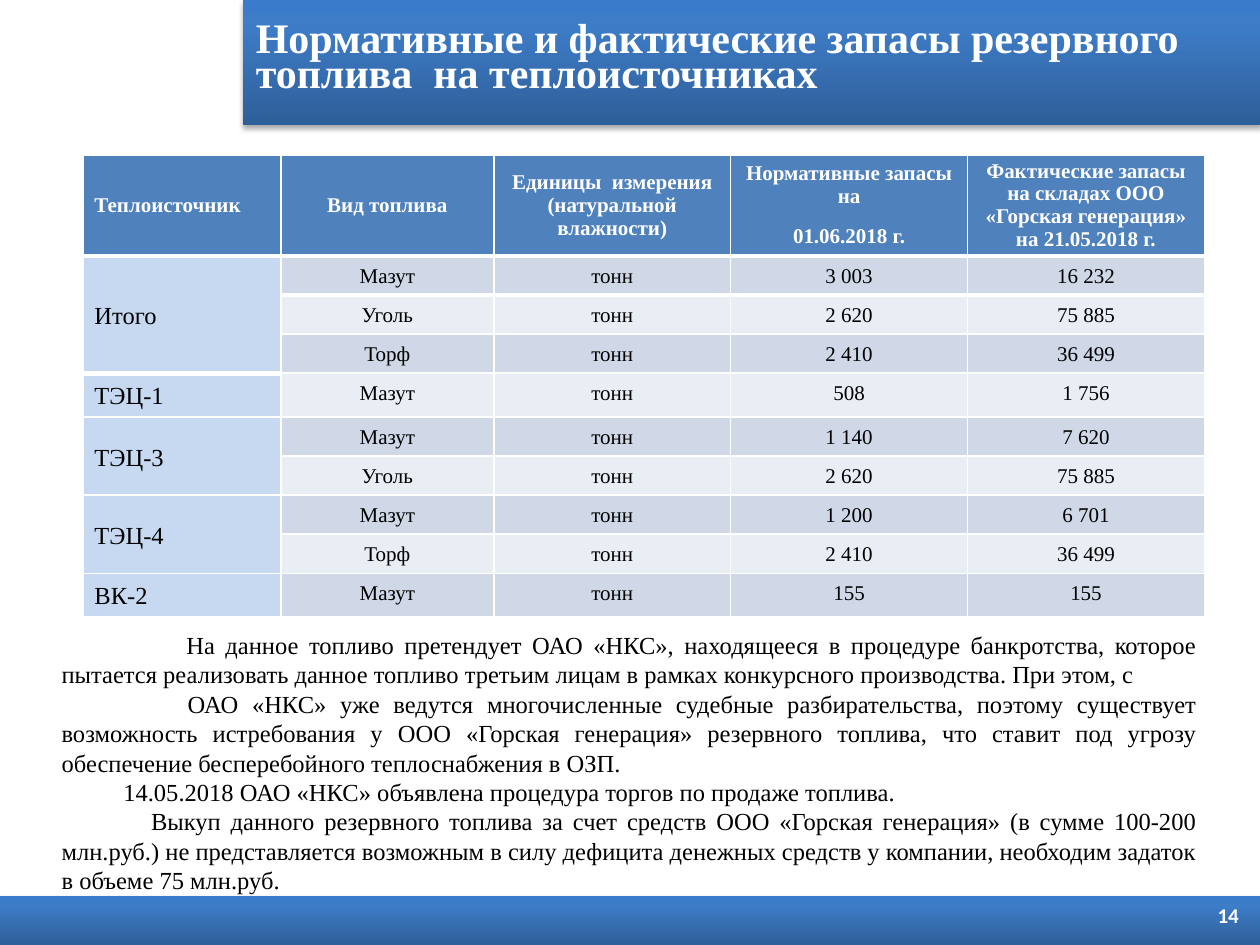
from dataclasses import dataclass

from pptx import Presentation
from pptx.dml.color import RGBColor
from pptx.enum.shapes import MSO_SHAPE
from pptx.enum.text import MSO_ANCHOR, PP_ALIGN
from pptx.oxml import parse_xml
from pptx.oxml.ns import nsdecls, qn
from pptx.shapes.autoshape import Shape
from pptx.slide import Slide
from pptx.table import _Cell as Cell
from pptx.text.text import _Paragraph as Paragraph
from pptx.util import Inches, Pt

SERIF = "Times New Roman"
COLORS = {
    "white": "FFFFFF", "black": "000000",
    "header": "4F81BD", "source": "C6D9F1",
    "band_dark": "D0D8E8", "band_light": "E9EDF4",
}
BAR_STOPS = [(0, "2F5F99"), (80, "3D7CC7"), (100, "3A7CCB")]


@dataclass
class Fuel:
    kind: str
    required: str
    actual: str


@dataclass
class HeatSource:
    name: str
    fuels: list[Fuel]


@dataclass
class Note:
    text: str
    indent: float


TITLE = "Нормативные и фактические запасы резервного топлива  на теплоисточниках"
HEADERS = [
    ["Теплоисточник"],
    ["Вид топлива"],
    ["Единицы  измерения (натуральной влажности)"],
    ["Нормативные запасы на", "01.06.2018 г."],
    ["Фактические запасы на складах ООО «Горская генерация» на 21.05.2018 г."],
]
UNIT = "тонн"
COLUMN_WIDTHS = [1.57, 1.69, 1.88, 1.88, 1.88]
HEADER_HEIGHT, ROW_HEIGHT, SINGLE_ROW_HEIGHT = 0.78, 0.31, 0.34

SOURCES = [
    HeatSource("Итого", [Fuel("Мазут", "3 003", "16 232"),
                         Fuel("Уголь", "2 620", "75 885"),
                         Fuel("Торф", "2 410", "36 499")]),
    HeatSource("ТЭЦ-1", [Fuel("Мазут", "508", "1 756")]),
    HeatSource("ТЭЦ-3", [Fuel("Мазут", "1 140", "7 620"),
                         Fuel("Уголь", "2 620", "75 885")]),
    HeatSource("ТЭЦ-4", [Fuel("Мазут", "1 200", "6 701"),
                         Fuel("Торф", "2 410", "36 499")]),
    HeatSource("ВК-2", [Fuel("Мазут", "155", "155")]),
]
NOTES = [
    Note("На данное топливо претендует ОАО «НКС», находящееся в процедуре банкротства, "
         "которое пытается реализовать данное топливо третьим лицам в рамках конкурсного "
         "производства. При этом, с", 0.99),
    Note("ОАО «НКС» уже ведутся многочисленные судебные разбирательства, поэтому существует "
         "возможность истребования у ООО «Горская генерация» резервного топлива, что ставит "
         "под угрозу обеспечение бесперебойного теплоснабжения в ОЗП.", 1.0),
    Note("14.05.2018 ОАО «НКС» объявлена процедура торгов по продаже топлива.", 0.49),
    Note("Выкуп данного резервного топлива за счет средств ООО «Горская генерация» (в сумме "
         "100-200 млн.руб.) не представляется возможным в силу дефицита денежных средств "
         "у компании, необходим задаток в объеме 75 млн.руб.", 0.71),
]


def add_run(paragraph: Paragraph, text: str, size: float, color: str,
            bold: bool = False, font: str = SERIF) -> None:
    run = paragraph.add_run()
    run.text = text
    run.font.name = font
    run.font.size = Pt(size)
    run.font.bold = bold
    run.font.color.rgb = RGBColor.from_string(COLORS[color])


def style_bar(shape: Shape) -> None:
    """Give a bar its vertical gradient and soft lower shadow."""
    shape.fill.gradient()
    shape.fill.gradient_angle = 90
    shape.line.fill.background()
    shape.shadow.inherit = False
    properties = shape._element.spPr
    stops = properties.find(qn("a:gradFill")).find(qn("a:gsLst"))
    for stop in list(stops):
        stops.remove(stop)
    for position, color in BAR_STOPS:
        stops.append(parse_xml(
            f'<a:gs {nsdecls("a")} pos="{position * 1000}"><a:srgbClr val="{color}"/></a:gs>'))
    properties.find(qn("a:effectLst")).append(parse_xml(
        f'<a:outerShdw {nsdecls("a")} blurRad="{Pt(3.1)}" dist="{Pt(1.8)}" dir="5400000" '
        'rotWithShape="0"><a:srgbClr val="000000"><a:alpha val="35000"/></a:srgbClr>'
        '</a:outerShdw>'))


def set_border(cell: Cell, side: str, width: float) -> None:
    """Draw one white border; borders come before the fill in the cell properties."""
    cell._tc.get_or_add_tcPr().insert(0, parse_xml(
        f'<a:ln{side} {nsdecls("a")} w="{Pt(width)}"><a:solidFill>'
        f'<a:srgbClr val="{COLORS["white"]}"/></a:solidFill></a:ln{side}>'))


def fill_cell(cell: Cell, lines: list[str], fill: str, size: float = 12,
              color: str = "black", bold: bool = False, centered: bool = True,
              middle: bool = False, spacing: float | Pt = 1.15) -> None:
    cell.fill.solid()
    cell.fill.fore_color.rgb = RGBColor.from_string(COLORS[fill])
    cell.margin_left = cell.margin_right = Inches(0.09)
    cell.margin_top = cell.margin_bottom = Inches(0.04)
    cell.vertical_anchor = MSO_ANCHOR.MIDDLE if middle else MSO_ANCHOR.TOP
    for index, line in enumerate(lines):
        frame = cell.text_frame
        paragraph = frame.add_paragraph() if index else frame.paragraphs[0]
        paragraph.alignment = PP_ALIGN.CENTER if centered else PP_ALIGN.LEFT
        paragraph.line_spacing = spacing
        paragraph.space_after = Pt(10)
        add_run(paragraph, line, size, color, bold)


def add_title(slide: Slide) -> None:
    title = slide.shapes.title
    title.left, title.top = Inches(1.93), Inches(0)
    title.width, title.height = Inches(8.07), Inches(0.99)
    style_bar(title)
    title.text_frame.vertical_anchor = MSO_ANCHOR.MIDDLE
    paragraph = title.text_frame.paragraphs[0]
    paragraph.alignment = PP_ALIGN.LEFT
    paragraph.line_spacing = Pt(20)
    add_run(paragraph, TITLE, 24, "white", bold=True)


def add_footer(slide: Slide) -> None:
    bar = slide.shapes.add_shape(
        MSO_SHAPE.RECTANGLE, Inches(0), Inches(7.11), Inches(10), Inches(0.39))
    style_bar(bar)
    number = slide.shapes.add_textbox(Inches(9.45), Inches(7.03), Inches(0.48), Inches(0.47))
    number.text_frame.word_wrap = True
    number.text_frame.vertical_anchor = MSO_ANCHOR.MIDDLE
    paragraph = number.text_frame.paragraphs[0]
    paragraph.alignment = PP_ALIGN.RIGHT
    add_run(paragraph, "14", 12, "white", bold=True, font="Calibri")


def add_stock_table(slide: Slide) -> None:
    heights = [HEADER_HEIGHT]
    for source in SOURCES:
        count = len(source.fuels)
        heights += [SINGLE_ROW_HEIGHT if count == 1 else ROW_HEIGHT] * count
    table = slide.shapes.add_table(
        len(heights), len(COLUMN_WIDTHS), Inches(0.66), Inches(1.23),
        Inches(sum(COLUMN_WIDTHS)), Inches(sum(heights))).table
    for column, width in zip(table.columns, COLUMN_WIDTHS):
        column.width = Inches(width)
    for row, height in zip(table.rows, heights):
        row.height = Inches(height)

    # Header row with a thick rule below
    for index, lines in enumerate(HEADERS):
        fill_cell(table.cell(0, index), lines, "header", color="white", bold=True,
                  centered=index > 0, middle=True, spacing=Pt(13))
        set_border(table.cell(0, index), "B", 3)
        set_border(table.cell(1, index), "T", 3)

    # One merged name cell per heat source, one row per fuel
    row_index = 1
    for source in SOURCES:
        count = len(source.fuels)
        name_cell = table.cell(row_index, 0)
        if count > 1:
            name_cell.merge(table.cell(row_index + count - 1, 0))
        fill_cell(name_cell, [source.name], "source", size=14, centered=False,
                  middle=count > 1)
        for fuel in source.fuels:
            band = "band_dark" if row_index % 2 else "band_light"
            values = [fuel.kind, UNIT, fuel.required, fuel.actual]
            for column_index, value in enumerate(values, start=1):
                fill_cell(table.cell(row_index, column_index), [value], band)
            row_index += 1


def add_notes_text(slide: Slide) -> None:
    box = slide.shapes.add_textbox(Inches(0.39), Inches(4.95), Inches(9.21), Inches(2.22))
    frame = box.text_frame
    frame.word_wrap = True
    for index, note in enumerate(NOTES):
        paragraph = frame.add_paragraph() if index else frame.paragraphs[0]
        paragraph.alignment = PP_ALIGN.JUSTIFY
        paragraph._p.get_or_add_pPr().set("indent", str(Inches(note.indent)))
        add_run(paragraph, note.text, 14, "black")


def main() -> None:
    presentation = Presentation()
    presentation.slide_width, presentation.slide_height = Inches(10), Inches(7.5)
    slide = presentation.slides.add_slide(presentation.slide_layouts[5])
    add_title(slide)
    add_footer(slide)
    add_stock_table(slide)
    add_notes_text(slide)
    presentation.save("out.pptx")


if __name__ == "__main__":
    main()
